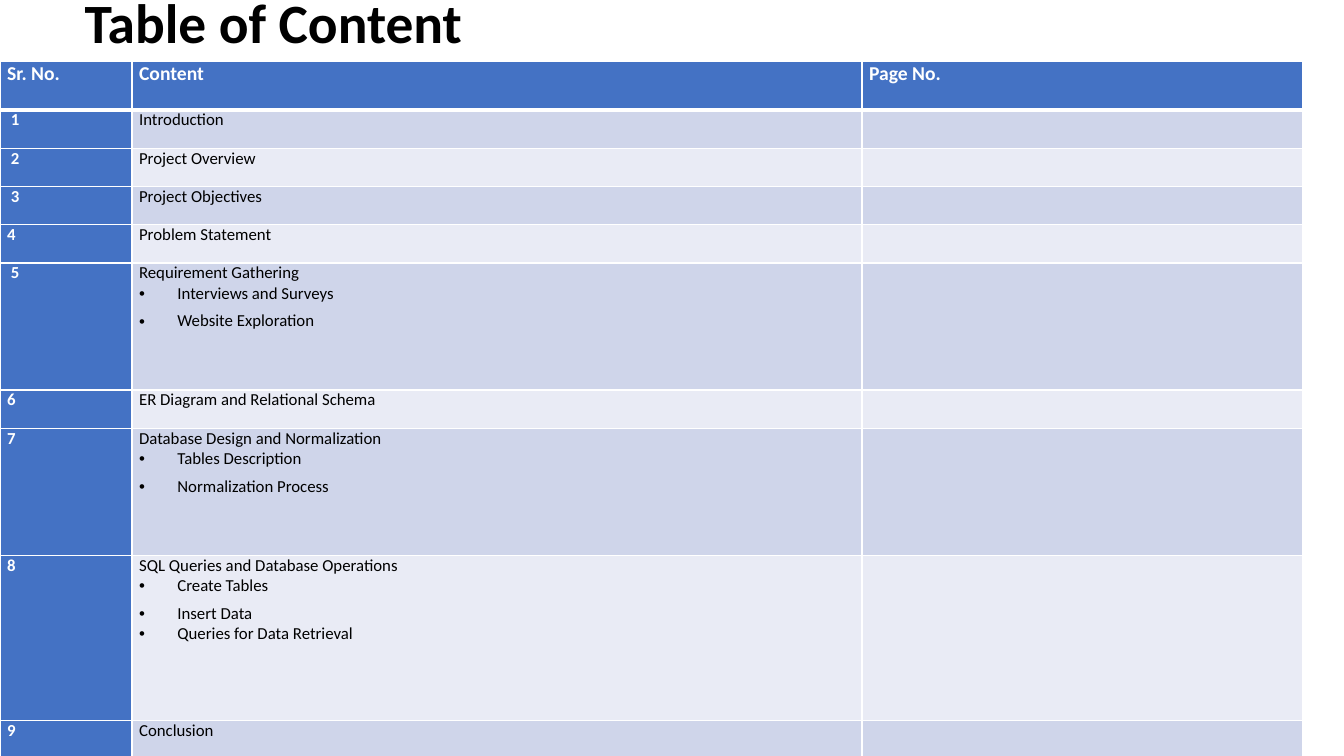
from lxml.etree import SubElement
from pptx import Presentation
from pptx.dml.color import RGBColor
from pptx.enum.text import MSO_ANCHOR
from pptx.oxml.ns import qn
from pptx.util import Inches, Pt

FONT = "Calibri"
COLORS = {
    "header": "4472C4",
    "band_dark": "CFD5EA",
    "band_light": "E9EBF5",
    "white": "FFFFFF",
    "black": "000000",
}
COLUMN_WIDTHS = [1.31, 7.24, 4.37]
HEADINGS = ["Sr. No.", "Content", "Page No."]
HEADING_HEIGHT = 0.48
ENTRIES = [
    (" 1", 0.38, ["Introduction"]),
    (" 2", 0.38, ["Project Overview"]),
    (" 3", 0.38, ["Project Objectives"]),
    ("4", 0.38, ["Problem Statement"]),
    (" 5", 1.26, ["Requirement Gathering", "Interviews and Surveys", "Website Exploration"]),
    ("6", 0.38, ["ER Diagram and Relational Schema"]),
    ("7", 1.26, ["Database Design and Normalization", "Tables Description", "Normalization Process"]),
    ("8", 1.64, ["SQL Queries and Database Operations", "Create Tables", "Insert Data",
                 "Queries for Data Retrieval"]),
    ("9", 0.38, ["Conclusion"]),
]


def rgb(name):
    return RGBColor.from_string(COLORS[name])


def set_font(paragraph, size, color, bold):
    font = paragraph.font
    font.name = FONT
    font.size = Pt(size)
    font.bold = bold
    font.color.rgb = rgb(color)


def add_bullet(paragraph):
    properties = paragraph._p.get_or_add_pPr()
    properties.set("marL", str(Inches(0.38)))
    properties.set("indent", str(-Inches(0.38)))
    SubElement(properties, qn("a:buFont"), typeface="Arial")
    SubElement(properties, qn("a:buChar"), char="•")


def set_borders(cell, top, bottom):
    properties = cell._tc.get_or_add_tcPr()
    sides = [("a:lnL", 1), ("a:lnR", 1), ("a:lnT", top), ("a:lnB", bottom)]
    for position, (side, width) in enumerate(sides):
        line = SubElement(properties, qn(side), w=str(Pt(width)))
        fill = SubElement(line, qn("a:solidFill"))
        SubElement(fill, qn("a:srgbClr"), val=COLORS["white"])
        properties.insert(position, line)


def fill_cell(cell, lines, fill, size, color, bold, top=1, bottom=1):
    cell.margin_left = cell.margin_right = Inches(0.07)
    cell.margin_top = cell.margin_bottom = 0
    cell.fill.solid()
    cell.fill.fore_color.rgb = rgb(fill)
    set_borders(cell, top, bottom)
    for index, line in enumerate(lines):
        paragraph = cell.text_frame.paragraphs[0] if index == 0 else cell.text_frame.add_paragraph()
        if line:
            paragraph.text = line
        if index == 1:
            paragraph.space_after = Pt(5)
        if index:
            add_bullet(paragraph)
        set_font(paragraph, size, color, bold)


def add_title(slide, left, top, width, height):
    title = slide.shapes.add_textbox(Inches(left), Inches(top), Inches(width), Inches(height))
    frame = title.text_frame
    frame.word_wrap = True
    frame.vertical_anchor = MSO_ANCHOR.MIDDLE
    heading = frame.paragraphs[0]
    heading.text = "Table of Content"
    heading.line_spacing = 0.9
    set_font(heading, 39.6, "black", True)


def add_contents(slide, left, top, width, height):
    contents = slide.shapes.add_table(
        len(ENTRIES) + 1, len(HEADINGS), Inches(left), Inches(top), Inches(width), Inches(height)
    ).table
    for column, share in zip(contents.columns, COLUMN_WIDTHS):
        column.width = Inches(width * share / sum(COLUMN_WIDTHS))
    contents.rows[0].height = Inches(HEADING_HEIGHT)
    for column, heading in enumerate(HEADINGS):
        fill_cell(contents.cell(0, column), [heading], "header", 14, "white", True, bottom=3)
    for row, (number, row_height, topics) in enumerate(ENTRIES, start=1):
        contents.rows[row].height = Inches(row_height)
        band = "band_dark" if row % 2 else "band_light"
        top_border = 3 if row == 1 else 1
        fill_cell(contents.cell(row, 0), [number], "header", 12, "white", True, top=top_border)
        fill_cell(contents.cell(row, 1), topics, band, 12, "black", False, top=top_border)
        fill_cell(contents.cell(row, 2), [""], band, 12, "black", False, top=top_border)


def main():
    presentation = Presentation()
    presentation.slide_width = Inches(13.33)
    presentation.slide_height = Inches(7.5)
    slide = presentation.slides.add_slide(presentation.slide_layouts[6])
    add_title(slide, 0.74, 0, 11.67, 0.5)
    add_contents(slide, 0, 0.61, 12.92, 6.89)
    presentation.save("out.pptx")


if __name__ == "__main__":
    main()
